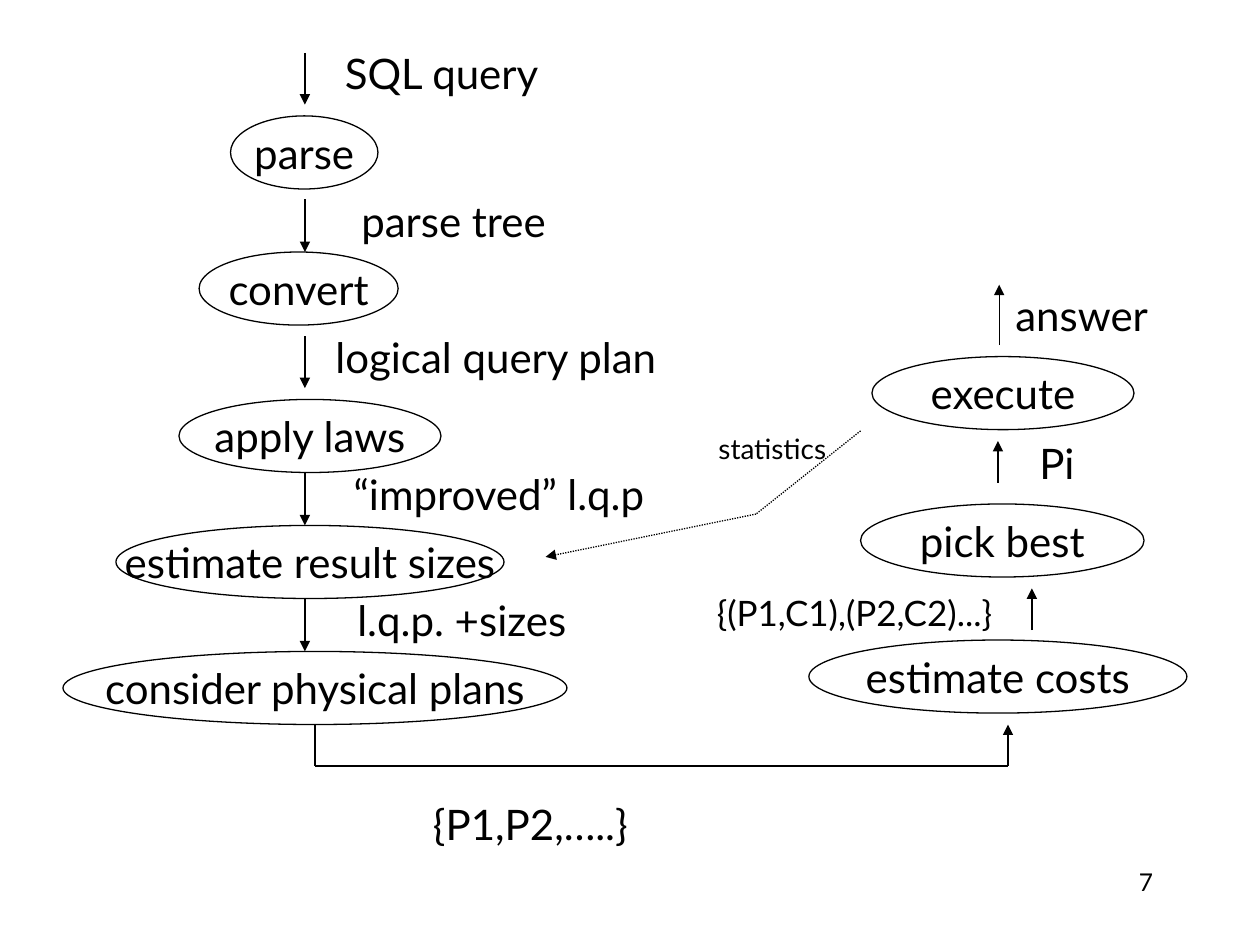
"""Build the query processing flow slide."""
from dataclasses import dataclass

from lxml import etree
from pptx import Presentation
from pptx import util as u
from pptx.dml.color import RGBColor
from pptx.enum import dml, shapes, text
from pptx.oxml.ns import qn

FONT = "Lato"
BLACK = "000000"
WHITE = "FFFFFF"
STEP_HEIGHT = 0.58
LEFT_FLOW = 2.42
RIGHT_FLOW = 7.92
LEFT = text.PP_ALIGN.LEFT
CENTER = text.PP_ALIGN.CENTER
RIGHT = text.PP_ALIGN.RIGHT


@dataclass
class Step:
    name: str
    left: float
    top: float
    width: float


@dataclass
class Label:
    words: str
    left: float
    top: float
    width: float
    height: float = 0.5
    size: int = 24
    align: text.PP_ALIGN = CENTER
    anchor: text.MSO_ANCHOR = text.MSO_ANCHOR.MIDDLE


@dataclass
class Line:
    start: tuple[float, float]
    end: tuple[float, float]
    arrow: bool = True
    dotted: bool = False


STEPS = [
    Step("parse", 1.83, 0.92, 1.17),
    Step("convert", 1.58, 2, 1.58),
    Step("apply laws", 1.42, 3.17, 2.08),
    Step("estimate result sizes", 0.92, 4.17, 3.08),
    Step("consider physical plans", 0.5, 5.17, 4),
    Step("estimate costs", 6.42, 5.08, 3),
    Step("pick best", 6.83, 4, 2.25),
    Step("execute", 6.92, 2.83, 2.08),
]

LABELS = [
    Label("SQL query", 2.6, 0.33, 1.81),
    Label("parse tree", 2.7, 1.5, 1.8),
    Label("logical query plan", 2.45, 2.58, 2.97),
    Label("“improved” l.q.p", 2.61, 3.67, 2.7),
    Label("l.q.p. +sizes", 2.67, 4.67, 1.99),
    Label("{P1,P2,…..}", 3.28, 6.29, 1.86),
    Label("{(P1,C1),(P2,C2)...}", 5.59, 4.64, 2.65, 0.44, 20, LEFT),
    Label("Pi", 8.15, 3.42, 0.49, align=LEFT),
    Label("answer", 7.96, 2.25, 1.25),
    Label("statistics", 5.58, 3.37, 1.1, 0.37, 16),
    Label("7", 7.17, 6.83, 2.08, size=14, align=RIGHT, anchor=text.MSO_ANCHOR.TOP),
]

DOWN_ARROWS = [(0.42, 0.83), (1.58, 2), (2.67, 3.08), (3.75, 4.17), (4.75, 5.17)]
LINES = [Line((LEFT_FLOW, top), (LEFT_FLOW, bottom)) for top, bottom in DOWN_ARROWS] + [
    Line((2.5, 5.75), (2.5, 6.08), arrow=False),
    Line((2.5, 6.08), (8, 6.08), arrow=False),
    Line((8, 6.08), (8, 5.75)),
    Line((8.19, 5), (8.19, 4.67)),
    Line((RIGHT_FLOW, 3.83), (RIGHT_FLOW, 3.5)),
    Line((7.93, 2.74), (7.93, 2.26)),
    Line((6.83, 3.42), (6, 4.08), arrow=False, dotted=True),
    Line((6, 4.08), (4.33, 4.42), dotted=True),
]


def color(value: str) -> RGBColor:
    return RGBColor.from_string(value)


def write(shape, words: str, size: int, align, anchor) -> None:
    frame = shape.text_frame
    frame.word_wrap = False
    frame.vertical_anchor = anchor
    para = frame.paragraphs[0]
    para.text = words
    para.alignment = align
    para.font.name = FONT
    para.font.size = u.Pt(size)
    para.font.color.rgb = color(BLACK)


def outline(shape) -> None:
    shape.line.color.rgb = color(BLACK)
    shape.line.width = u.Pt(0.75)


def add_step(page, step: Step) -> None:
    oval = page.shapes.add_shape(
        shapes.MSO_SHAPE.OVAL, u.Inches(step.left), u.Inches(step.top),
        u.Inches(step.width), u.Inches(STEP_HEIGHT))
    oval.shadow.inherit = False
    oval.fill.solid()
    oval.fill.fore_color.rgb = color(WHITE)
    outline(oval)
    write(oval, step.name, 24, CENTER, text.MSO_ANCHOR.MIDDLE)


def add_label(page, label: Label) -> None:
    box = page.shapes.add_textbox(
        u.Inches(label.left), u.Inches(label.top),
        u.Inches(label.width), u.Inches(label.height))
    write(box, label.words, label.size, label.align, label.anchor)


def add_line(page, line: Line) -> None:
    points = [u.Inches(value) for value in line.start + line.end]
    connector = page.shapes.add_connector(shapes.MSO_CONNECTOR.STRAIGHT, *points)
    outline(connector)
    if line.dotted:
        connector.line.dash_style = dml.MSO_LINE.ROUND_DOT
    properties = connector.element.spPr
    if line.arrow:
        etree.SubElement(properties.find(qn("a:ln")), qn("a:tailEnd"), type="triangle")
    etree.SubElement(properties, qn("a:effectLst"))


def main() -> None:
    deck = Presentation()
    deck.slide_width, deck.slide_height = u.Inches(10), u.Inches(7.5)
    page = deck.slides.add_slide(deck.slide_layouts[6])
    for step in STEPS:
        add_step(page, step)
    for line in LINES:
        add_line(page, line)
    for label in LABELS:
        add_label(page, label)
    deck.save("out.pptx")


if __name__ == "__main__":
    main()
